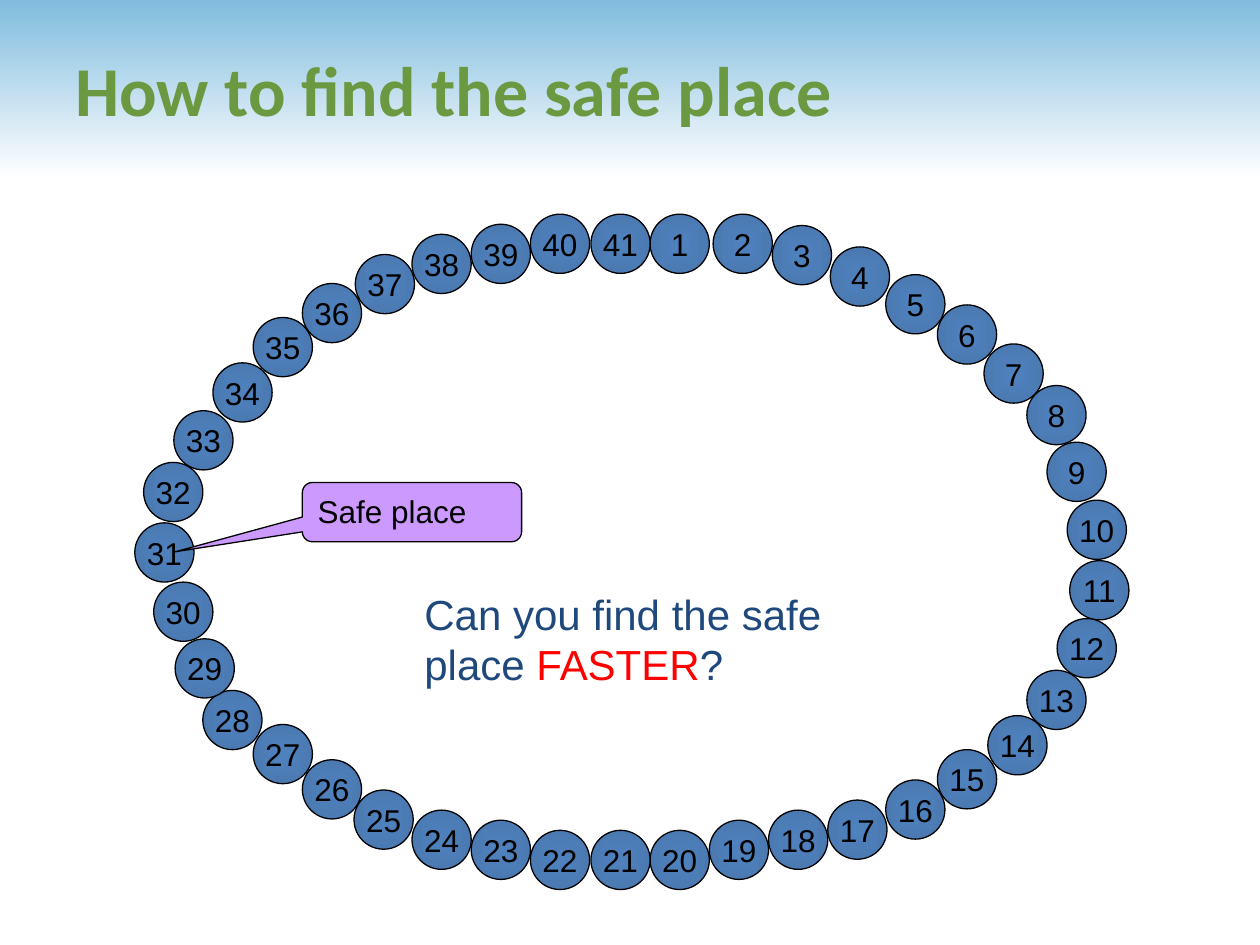
from lxml import etree
from pptx import Presentation
from pptx.dml.color import RGBColor
from pptx.enum import shapes, text
from pptx.oxml.ns import qn
from pptx.util import Inches, Pt

BLACK = "000000"
NAVY = "1F497D"
DIAMETER = 0.47

# Left and top of each seat, clockwise from number 1
SEATS = [
    (5.16, 1.7), (5.66, 1.7), (6.13, 1.79), (6.59, 1.96), (7.03, 2.18),
    (7.44, 2.42), (7.81, 2.73), (8.15, 3.06), (8.31, 3.51), (8.47, 3.97),
    (8.49, 4.45), (8.39, 4.91), (8.15, 5.32), (7.84, 5.68), (7.44, 5.95),
    (7.03, 6.19), (6.57, 6.35), (6.1, 6.43), (5.63, 6.51), (5.16, 6.59),
    (4.69, 6.59), (4.21, 6.59), (3.74, 6.51), (3.27, 6.43), (2.81, 6.27),
    (2.4, 6.03), (2.01, 5.75), (1.61, 5.48), (1.39, 5.07), (1.22, 4.62),
    (1.07, 4.15), (1.14, 3.67), (1.38, 3.26), (1.69, 2.88), (2.01, 2.52),
    (2.4, 2.25), (2.82, 2.02), (3.27, 1.86), (3.74, 1.78), (4.21, 1.7),
    (4.69, 1.7),
]


def color(hex_value):
    return RGBColor.from_string(hex_value)


def add_shape(page, kind, left, top, width, height):
    shape = page.shapes.add_shape(
        kind, Inches(left), Inches(top), Inches(width), Inches(height))
    shape.shadow.inherit = False
    return shape


def outline(shape):
    shape.line.color.rgb = color(BLACK)
    shape.line.width = Pt(0.75)


def fill_gradient(shape, first, last):
    """Two-colour gradient that runs from top to bottom."""
    shape.fill.gradient()
    shape.fill.gradient_angle = 270
    for stop, position, value in zip(shape.fill.gradient_stops, (0, 1), (first, last)):
        stop.position = position
        stop.color.rgb = color(value)


def make_gradient_radial(shape):
    """Let the gradient spread from the centre along the shape's outline."""
    gradient = shape.element.spPr.find(qn("a:gradFill"))
    gradient.remove(gradient.find(qn("a:lin")))
    route = etree.SubElement(gradient, qn("a:path"), {"path": "shape"})
    etree.SubElement(route, qn("a:fillToRect"), dict.fromkeys("ltrb", "50000"))


def write(box, spans, size, font="Arial", bold=False, align=text.PP_ALIGN.LEFT,
          anchor=text.MSO_ANCHOR.TOP, wrap=True):
    """Fill a box with one paragraph of (words, colour) spans."""
    frame = box.text_frame
    frame.word_wrap = wrap
    frame.vertical_anchor = anchor
    para = frame.paragraphs[0]
    para.alignment = align
    for words, value in spans:
        span = para.add_run()
        span.text = words
        span.font.size = Pt(size)
        span.font.name = font
        span.font.bold = bold
        span.font.color.rgb = color(value)


def add_text(page, left, top, width, height, spans, size, **style):
    box = page.shapes.add_textbox(
        Inches(left), Inches(top), Inches(width), Inches(height))
    write(box, spans, size, **style)


def add_banner(page):
    banner = add_shape(page, shapes.MSO_SHAPE.PENTAGON, 0, 0, 10, 1.42)
    banner.adjustments[0] = 0
    fill_gradient(banner, "80BCDE", "FFFFFF")
    banner.line.fill.background()


def add_seat(page, number, left, top):
    seat = add_shape(page, shapes.MSO_SHAPE.OVAL, left, top, DIAMETER, DIAMETER)
    fill_gradient(seat, "4F81BD", "4B7AB2")
    make_gradient_radial(seat)
    outline(seat)
    write(seat, [(str(number), BLACK)], 18, align=text.PP_ALIGN.CENTER,
          anchor=text.MSO_ANCHOR.MIDDLE, wrap=False)


def add_callout(page):
    callout = add_shape(
        page, shapes.MSO_SHAPE.ROUNDED_RECTANGULAR_CALLOUT, 2.4, 3.83, 1.74, DIAMETER)
    for index, value in enumerate((-1.08, 0.67, 0.17)):
        callout.adjustments[index] = value
    callout.fill.solid()
    callout.fill.fore_color.rgb = color("CC99FF")
    outline(callout)
    write(callout, [("Safe place", BLACK)], 18)


def main():
    deck = Presentation()
    deck.slide_width, deck.slide_height = Inches(10), Inches(7.5)
    page = deck.slides.add_slide(deck.slide_layouts[6])
    page.background.fill.solid()
    page.background.fill.fore_color.rgb = color("FFFFFF")

    # Heading
    add_banner(page)
    add_text(page, 0.5, 0.08, 9.08, 1.25, [("How to find the safe place", "6B9941")], 40,
             font="Calibri", bold=True, anchor=text.MSO_ANCHOR.MIDDLE)

    # Ring of numbered seats
    for number, (left, top) in enumerate(SEATS, start=1):
        add_seat(page, number, left, top)

    # Safe place and question
    add_callout(page)
    add_text(page, 3.27, 4.62, 3.37, 0.91,
             [("Can you find the safe place ", NAVY), ("FASTER", "FF0000"), ("?", NAVY)], 24)

    deck.save("out.pptx")


if __name__ == "__main__":
    main()
